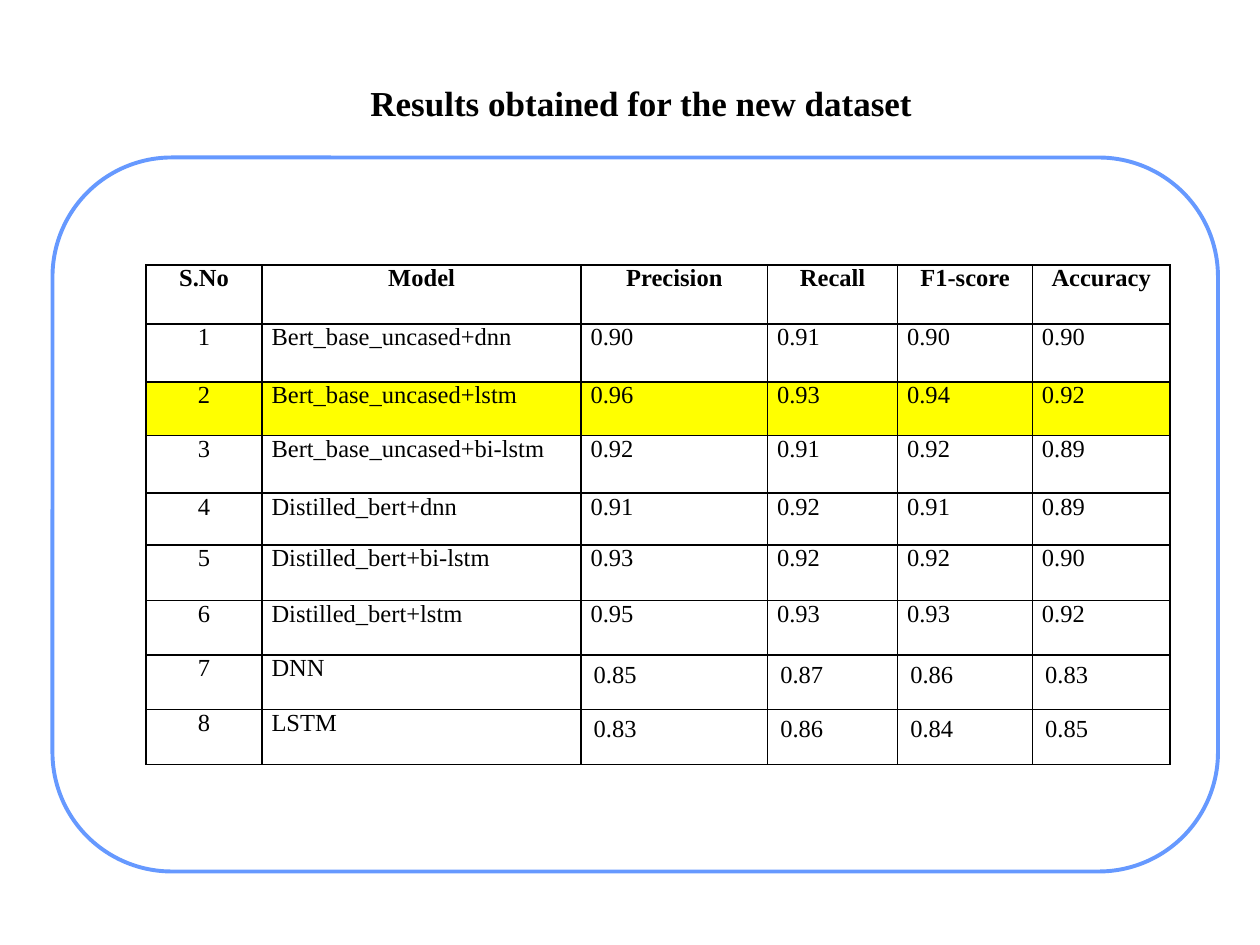
from lxml import etree
from pptx import Presentation
from pptx.dml.color import RGBColor
from pptx.enum import shapes, text
from pptx.oxml import ns
from pptx.util import Pt

COLORS = {"ink": "000000", "paper": "FFFFFF", "frame": "6699FF", "best": "FFFF00"}
FONT = "Times New Roman"

HEADERS = ["S.No", "Model", "Precision", "Recall", "F1-score", "Accuracy"]
RESULTS = [
    ["Bert_base_uncased+dnn", "0.90", "0.91", "0.90", "0.90"],
    ["Bert_base_uncased+lstm", "0.96", "0.93", "0.94", "0.92"],
    ["Bert_base_uncased+bi-lstm", "0.92", "0.91", "0.92", "0.89"],
    ["Distilled_bert+dnn", "0.91", "0.92", "0.91", "0.89"],
    ["Distilled_bert+bi-lstm", "0.93", "0.92", "0.92", "0.90"],
    ["Distilled_bert+lstm", "0.95", "0.93", "0.93", "0.92"],
    ["DNN", "0.85", "0.87", "0.86", "0.83"],
    ["LSTM", "0.83", "0.86", "0.84", "0.85"],
]
BEST_ROW = 2
FIRST_BASELINE_ROW = 7
COLUMN_WIDTHS = [66.3, 182.3, 106.6, 74.3, 77.1, 78.6]
ROW_HEIGHTS = [33.7, 33.1, 30.6, 33.1, 29.7, 31.7, 31.1, 31.1, 31.4]


def write(para, words, size, bold, align):
    para.alignment = align
    span = para.add_run()
    span.text = words
    span.font.name = FONT
    span.font.size = Pt(size)
    span.font.bold = bold
    span.font.color.rgb = RGBColor.from_string(COLORS["ink"])


def add_borders(cell):
    props = cell._tc.get_or_add_tcPr()
    for side in ("a:lnL", "a:lnR", "a:lnT", "a:lnB"):
        line = etree.SubElement(props, ns.qn(side), w=str(Pt(1)))
        fill = etree.SubElement(line, ns.qn("a:solidFill"))
        etree.SubElement(fill, ns.qn("a:srgbClr"), val=COLORS["ink"])


deck = Presentation()
deck.slide_width, deck.slide_height = Pt(720), Pt(540)
page = deck.slides.add_slide(deck.slide_layouts[6])

# Rounded frame
frame = page.shapes.add_shape(
    shapes.MSO_SHAPE.ROUNDED_RECTANGLE, Pt(30), Pt(90), Pt(666), Pt(408))
frame.adjustments[0] = 0.167
frame.shadow.inherit = False
frame.fill.solid()
frame.fill.fore_color.rgb = RGBColor.from_string(COLORS["paper"])
frame.line.color.rgb = RGBColor.from_string(COLORS["frame"])
frame.line.width = Pt(2.25)

# Title
title = page.shapes.add_textbox(Pt(96.5), Pt(37.5), Pt(540), Pt(42.5))
box = title.text_frame
box.word_wrap = True
box.vertical_anchor = text.MSO_ANCHOR.MIDDLE
box.margin_left = box.margin_right = box.margin_top = box.margin_bottom = Pt(3.6)
write(box.paragraphs[0], "Results obtained for the new dataset", 20, True,
      text.PP_ALIGN.CENTER)

# Results table
rows = [HEADERS] + [[str(number)] + result for number, result in enumerate(RESULTS, 1)]
table = page.shapes.add_table(
    len(rows), len(HEADERS), Pt(83.5), Pt(151.4),
    Pt(sum(COLUMN_WIDTHS)), Pt(sum(ROW_HEIGHTS))).table
table.first_row = table.horz_banding = False
for column, width in zip(table.columns, COLUMN_WIDTHS):
    column.width = Pt(width)
for row, height in zip(table.rows, ROW_HEIGHTS):
    row.height = Pt(height)

for r, values in enumerate(rows):
    for c, value in enumerate(values):
        cell = table.cell(r, c)
        # Baseline scores keep the default cell margins
        if r < FIRST_BASELINE_ROW or c < 2:
            cell.margin_left = cell.margin_right = Pt(5.4)
            cell.margin_top = cell.margin_bottom = Pt(0)
        add_borders(cell)
        if r == BEST_ROW:
            cell.fill.solid()
            cell.fill.fore_color.rgb = RGBColor.from_string(COLORS["best"])
        else:
            cell.fill.background()
        centred = r == 0 or c == 0
        write(cell.text_frame.paragraphs[0], value, 14, r == 0,
              text.PP_ALIGN.CENTER if centred else text.PP_ALIGN.LEFT)

deck.save("out.pptx")
